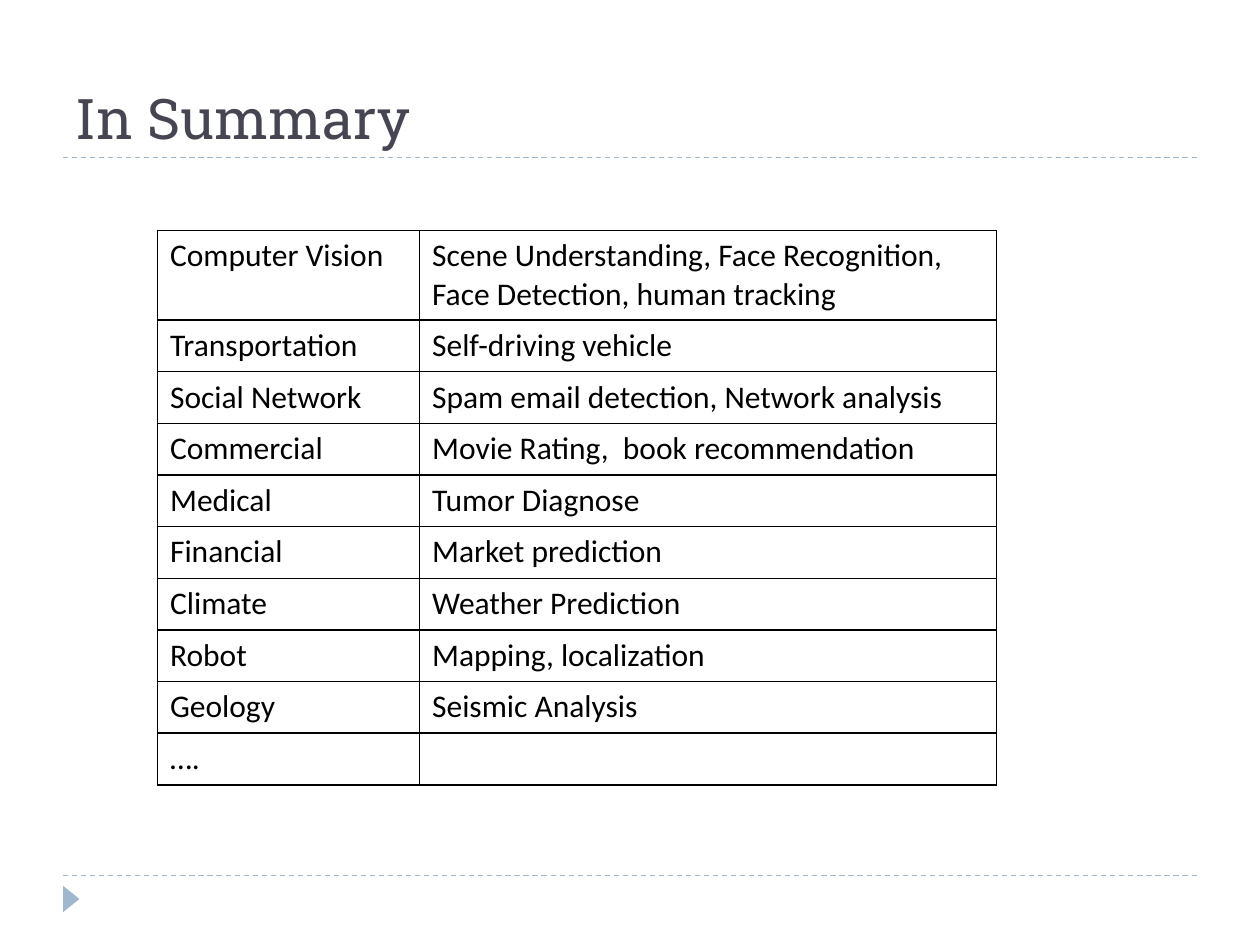
from pptx import Presentation
from pptx.dml.color import RGBColor
from pptx.enum.dml import MSO_LINE
from pptx.enum.shapes import MSO_CONNECTOR, MSO_SHAPE
from pptx.enum.text import MSO_ANCHOR, PP_ALIGN
from pptx.oxml import parse_xml
from pptx.oxml.ns import nsdecls
from pptx.util import Inches, Pt
from lxml.etree import SubElement
from pptx.oxml.ns import qn

BLACK = RGBColor(0x00, 0x00, 0x00)
SLATE = RGBColor(0x46, 0x46, 0x53)
BLUE = RGBColor(0x9F, 0xB8, 0xCD)

ROWS = [
    ("Computer Vision",
     "Scene Understanding, Face Recognition, Face Detection, human tracking"),
    ("Transportation", "Self-driving vehicle"),
    ("Social Network", "Spam email detection, Network analysis"),
    ("Commercial", "Movie Rating,  book recommendation"),
    ("Medical", "Tumor Diagnose"),
    ("Financial", "Market prediction"),
    ("Climate", "Weather Prediction"),
    ("Robot", "Mapping, localization"),
    ("Geology", "Seismic Analysis"),
    ("….", ""),
]


def add_borders(cell):
    props = cell._tc.get_or_add_tcPr()
    for i, side in enumerate(("lnL", "lnR", "lnT", "lnB")):
        props.insert(i, parse_xml(
            f'<a:{side} {nsdecls("a")} w="{Pt(1)}"><a:solidFill>'
            f'<a:srgbClr val="{BLACK}"/></a:solidFill></a:{side}>'))


prs = Presentation()
prs.slide_width, prs.slide_height = Inches(10), Inches(7.5)
slide = prs.slides.add_slide(prs.slide_layouts[5])
shapes = slide.shapes

# Dashed rules and corner marker
for y in (6.95, 1.25):
    rule = shapes.add_connector(MSO_CONNECTOR.STRAIGHT, Inches(0.5), Inches(y),
                                Inches(9.5), Inches(y))
    rule.line.color.rgb = BLUE
    rule.line.width = Pt(0.75)
    rule.line.dash_style = MSO_LINE.DASH
    SubElement(rule._element.spPr, qn("a:effectLst"))

mark = shapes.add_shape(MSO_SHAPE.ISOSCELES_TRIANGLE, Inches(0.46),
                        Inches(7.07), Inches(0.21), Inches(0.13))
mark.rotation = 90
mark.shadow.inherit = False
mark.fill.solid()
mark.fill.fore_color.rgb = BLUE
mark.line.fill.background()

# Title
title = shapes.title
title.left, title.top = Inches(0.5), Inches(0.17)
title.width, title.height = Inches(9), Inches(1.08)
title.text_frame.text = "In Summary"
title.text_frame.vertical_anchor = MSO_ANCHOR.BOTTOM
para = title.text_frame.paragraphs[0]
para.alignment = PP_ALIGN.LEFT
para.font.name = "Roboto Slab"
para.font.size = Pt(32)
para.font.color.rgb = SLATE

# Fields and their uses
table = shapes.add_table(len(ROWS), 2, Inches(1.25), Inches(1.83),
                         Inches(6.66), Inches(0.41 * len(ROWS))).table
table.first_row = table.horz_banding = False
table.columns[0].width = Inches(2.08)
table.columns[1].width = Inches(4.58)
for r, row in enumerate(ROWS):
    for c, text in enumerate(row):
        cell = table.cell(r, c)
        cell.text = text
        cell.fill.background()
        add_borders(cell)
        font = cell.text_frame.paragraphs[0].font
        font.name = "Calibri"
        font.size = Pt(18)
        font.color.rgb = BLACK

prs.save("out.pptx")
